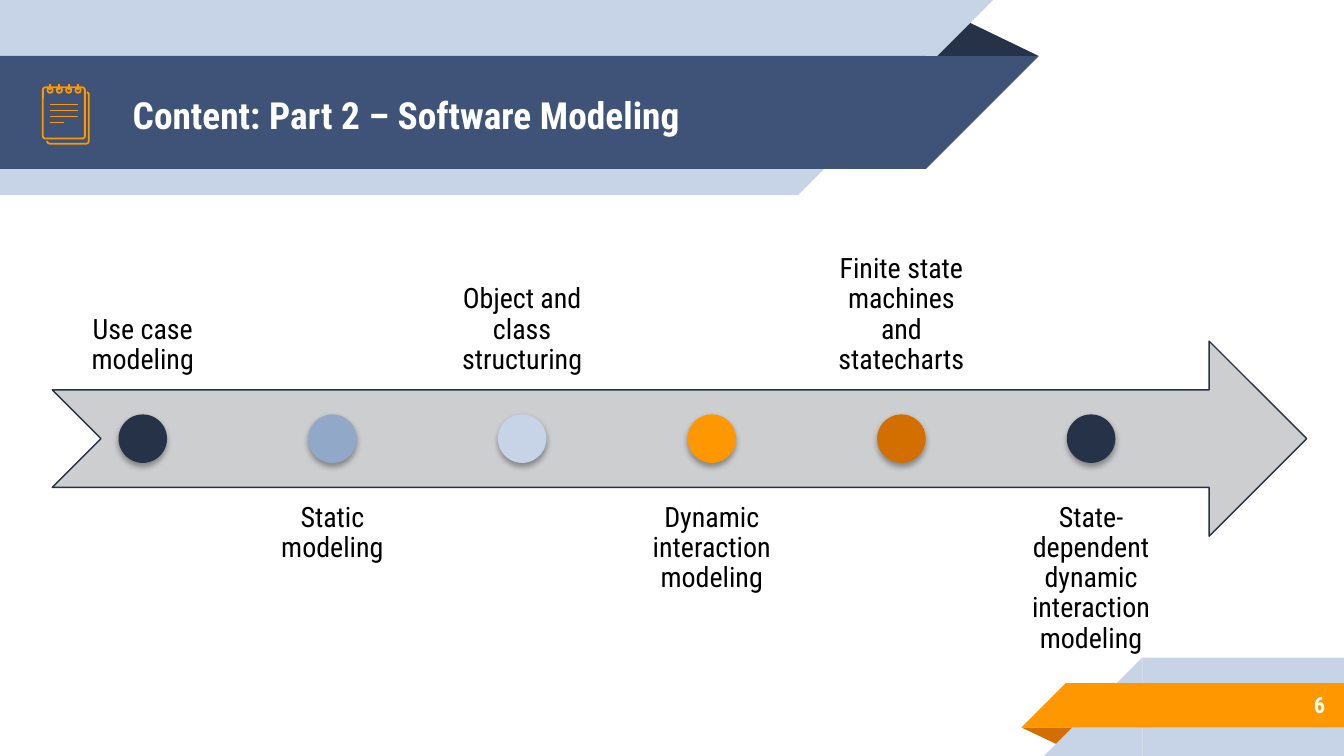
from lxml.etree import SubElement
from pptx import Presentation
from pptx.dml.color import RGBColor
from pptx.enum.shapes import MSO_CONNECTOR, MSO_SHAPE
from pptx.enum.text import MSO_ANCHOR, PP_ALIGN
from pptx.oxml.ns import qn
from pptx.util import Pt

COLORS = {
    "navy": "263248", "blue": "3F5378", "steel": "92A8C8", "pale": "C7D3E6",
    "orange": "FF9800", "rust": "D26F00", "gray": "CDCECF",
    "white": "FFFFFF", "black": "000000",
}
FONT = "Roboto Condensed"

prs = Presentation()
prs.slide_width, prs.slide_height = Pt(720), Pt(405)
slide = prs.slides.add_slide(prs.slide_layouts[6])
shapes = slide.shapes


def add_figure(kind, box, fill=None, line=None, width=0.75):
    figure = shapes.add_shape(kind, *map(Pt, box))
    figure.shadow.inherit = False
    if fill:
        figure.fill.solid()
        figure.fill.fore_color.rgb = RGBColor.from_string(COLORS[fill])
    else:
        figure.fill.background()
    if line:
        figure.line.color.rgb = RGBColor.from_string(COLORS[line])
        figure.line.width = Pt(width)
    else:
        figure.line.fill.background()
    return figure


def add_text(text, box, size, color, align, anchor, inset, bold=False, spacing=None):
    frame = shapes.add_textbox(*map(Pt, box)).text_frame
    frame.word_wrap = True
    frame.vertical_anchor = anchor
    frame.margin_left = frame.margin_right = Pt(inset)
    frame.margin_top = frame.margin_bottom = Pt(inset)
    paragraph = frame.paragraphs[0]
    paragraph.alignment = align
    paragraph.line_spacing = spacing
    run = paragraph.add_run()
    run.text = text
    run.font.name = FONT
    run.font.size = Pt(size)
    run.font.bold = bold
    run.font.color.rgb = RGBColor.from_string(COLORS[color])


header_fold = add_figure(MSO_SHAPE.ISOSCELES_TRIANGLE, (495.5, 10, 61, 20), "navy")
header_fold.adjustments[0] = 0.32
for top, length, height, color in [(0, 427.5, 104.5, "pale"), (30, 496, 60.5, "blue")]:
    add_figure(MSO_SHAPE.RECTANGLE, (0, top, length, height), color)
    slant = add_figure(MSO_SHAPE.RIGHT_TRIANGLE, (length, top, height, height), color)
    slant.rotation = 180
    slant._element.spPr.find(qn("a:xfrm")).set("flipH", "1")

footer_fold = add_figure(MSO_SHAPE.ISOSCELES_TRIANGLE, (547.25, 389.75, 31, 10), "rust")
footer_fold.adjustments[0] = 0.32
footer_fold.rotation = 180
for left, top, height, color in [(612, 352.25, 52.75, "pale"), (571, 366, 23.75, "orange")]:
    add_figure(MSO_SHAPE.RECTANGLE, (left, top, 720 - left, height), color)
    slant = add_figure(MSO_SHAPE.RIGHT_TRIANGLE, (left - height, top, height, height), color)
    slant._element.spPr.find(qn("a:xfrm")).set("flipH", "1")

add_text("Content: Part 2 – Software Modeling", (64, 31, 414, 60.5), 20, "white",
         PP_ALIGN.LEFT, MSO_ANCHOR.MIDDLE, 7.2, bold=True)
add_text("6", (600, 365, 117, 25.5), 12, "white",
         PP_ALIGN.RIGHT, MSO_ANCHOR.MIDDLE, 7.2, bold=True)

add_figure(MSO_SHAPE.NOTCHED_RIGHT_ARROW, (28, 182.75, 672, 104.5), "gray", "navy")
topics = [
    ("Use case modeling", "navy"),
    ("Static modeling", "steel"),
    ("Object and class structuring", "pale"),
    ("Dynamic interaction modeling", "orange"),
    ("Finite state machines and statecharts", "rust"),
    ("State-dependent dynamic interaction modeling", "navy"),
]
for index, (topic, color) in enumerate(topics):
    center = 76.5 + 101.6 * index
    above = index % 2 == 0
    add_text(topic, (center - 48.35, 105 if above else 261, 96.7, 104.5), 15, "black",
             PP_ALIGN.CENTER, MSO_ANCHOR.BOTTOM if above else MSO_ANCHOR.TOP, 8.4,
             spacing=0.9)
    milestone = add_figure(MSO_SHAPE.OVAL, (center - 13, 222, 26, 26), color)
    effects = milestone._element.spPr.find(qn("a:effectLst"))
    glow = SubElement(effects, qn("a:outerShdw"), blurRad=str(Pt(3.1)), dist=str(Pt(1.8)),
                      dir="5400000", algn="ctr", rotWithShape="0")
    shade = SubElement(glow, qn("a:srgbClr"), val=COLORS["black"])
    SubElement(shade, qn("a:alpha"), val="35000")

back_outline = shapes.build_freeform(Pt(25.2), Pt(75.5), scale=1.0)
back_outline.add_line_segments(
    [(Pt(x), Pt(y)) for x, y in
     [(25.6, 76.6), (26.6, 77), (46.4, 77), (47.3, 76.6), (47.6, 75.6),
      (47.6, 50.6), (47.3, 49.8), (46.5, 49.5)]], close=False)
back_page = back_outline.convert_to_shape()
back_page.shadow.inherit = False
back_page.fill.background()
back_page.line.color.rgb = RGBColor.from_string(COLORS["orange"])
back_page.line.width = Pt(0.96)

front_page = add_figure(MSO_SHAPE.ROUNDED_RECTANGLE, (23, 46.8, 22.5, 27.4),
                        line="orange", width=0.96)
front_page.adjustments[0] = 0.06

strokes = [(26.8, y, end, y) for y, end in [(56, 42), (59.2, 42), (62.4, 42), (65.6, 34.5)]]
for ring in range(4):
    x = 26.8 + 5 * ring
    add_figure(MSO_SHAPE.OVAL, (x - 1.4, 46.9, 2.8, 2.8), line="orange", width=0.96)
    strokes.append((x, 45.2, x, 48.2))
for stroke in strokes:
    mark = shapes.add_connector(MSO_CONNECTOR.STRAIGHT, *map(Pt, stroke))
    mark.line.color.rgb = RGBColor.from_string(COLORS["orange"])
    mark.line.width = Pt(0.96)
    SubElement(mark._element.spPr, qn("a:effectLst"))

prs.save("out.pptx")
